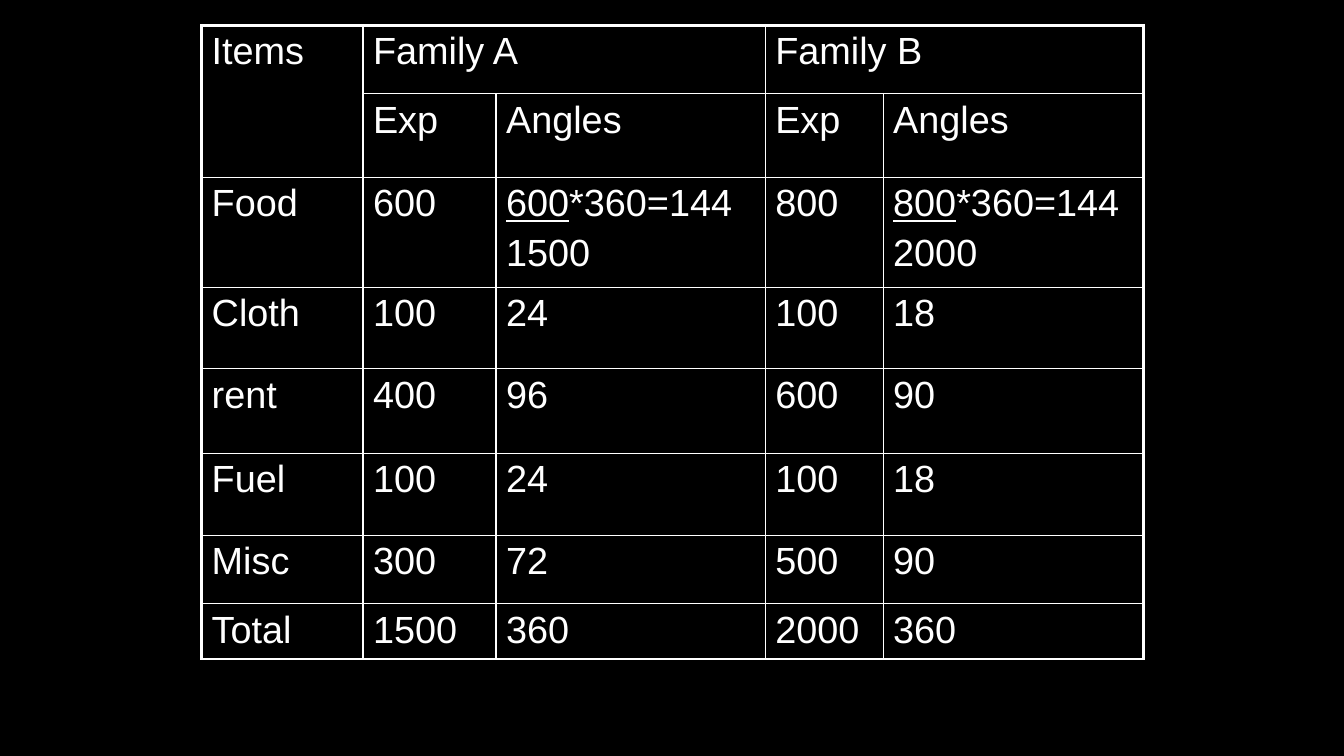
from dataclasses import dataclass

from lxml.etree import SubElement
from pptx import Presentation
from pptx.dml.color import RGBColor
from pptx.oxml import parse_xml
from pptx.oxml.ns import nsdecls, qn
from pptx.table import Table, _Cell
from pptx.util import Inches, Pt

WHITE = "FFFFFF"
BLACK = "000000"
THIN = 1
THICK = 2.25


@dataclass(frozen=True)
class Run:
    text: str
    under: bool = False


@dataclass(frozen=True)
class Entry:
    """Cell content at a grid place, one tuple of runs per paragraph."""
    row: int
    col: int
    paras: tuple[tuple[Run, ...], ...]
    high: int = 1
    wide: int = 1


WIDTHS = (1.6, 1.32, 2.67, 1.17, 2.58)
HEIGHTS = (0.68, 0.83, 1.09, 0.81, 0.84, 0.81, 0.68, 0.55)
BODY = (
    ("Food", "600", "600/1500", "800", "800/2000"),
    ("Cloth", "100", "24", "100", "18"),
    ("rent", "400", "96", "600", "90"),
    ("Fuel", "100", "24", "100", "18"),
    ("Misc", "300", "72", "500", "90"),
    ("Total", "1500", "360", "2000", "360"),
)


def color(code: str) -> RGBColor:
    return RGBColor.from_string(code)


def split(text: str) -> tuple[tuple[Run, ...], ...]:
    """Turn "part/whole" into a stacked fraction; keep other text plain."""
    part, slash, whole = text.partition("/")
    if not slash:
        return ((Run(text),),)
    return ((Run(part, True), Run("*360=144")), (Run(whole),))


def entries() -> list[Entry]:
    heads = [
        Entry(0, 0, split("Items"), high=2),
        Entry(0, 1, split("Family A"), wide=2),
        Entry(0, 3, split("Family B"), wide=2),
    ]
    heads += [Entry(1, col, split(("Angles", "Exp")[col % 2])) for col in range(1, 5)]
    body = [
        Entry(row, col, split(text))
        for row, line in enumerate(BODY, 2)
        for col, text in enumerate(line)
    ]
    return heads + body


def write(cell: _Cell, paras: tuple[tuple[Run, ...], ...]) -> None:
    frame = cell.text_frame
    for index, runs in enumerate(paras):
        para = frame.add_paragraph() if index else frame.paragraphs[0]
        space = SubElement(para._p.get_or_add_pPr(), qn("a:spcBef"))
        SubElement(space, qn("a:spcPct"), val="20000")
        for item in runs:
            run = para.add_run()
            run.text = item.text
            font = run.font
            font.name = "Arial"
            font.size = Pt(27)
            font.color.rgb = color(WHITE)
            font.underline = item.under


def border(cell: _Cell, item: Entry) -> None:
    """Draw thick lines on the table's rim and thin ones inside."""
    rim = {
        "lnL": item.col == 0,
        "lnR": item.col + item.wide == len(WIDTHS),
        "lnT": item.row == 0,
        "lnB": item.row + item.high == len(HEIGHTS),
    }
    props = cell._tc.get_or_add_tcPr()
    for index, (tag, outer) in enumerate(rim.items()):
        width = Pt(THICK if outer else THIN)
        props.insert(index, parse_xml(
            f'<a:{tag} {nsdecls("a")} w="{width}"><a:solidFill>'
            f'<a:srgbClr val="{WHITE}"/></a:solidFill></a:{tag}>'
        ))


def fill(table: Table) -> None:
    table.first_row = table.horz_banding = False
    for column, width in zip(table.columns, WIDTHS):
        column.width = Inches(width)
    for row, height in zip(table.rows, HEIGHTS):
        row.height = Inches(height)
    for cell in table.iter_cells():
        cell.fill.background()
    for item in entries():
        cell = table.cell(item.row, item.col)
        if item.high * item.wide > 1:
            cell.merge(table.cell(item.row + item.high - 1, item.col + item.wide - 1))
        cell.margin_left = cell.margin_right = Inches(0.1)
        cell.margin_top = cell.margin_bottom = Inches(0.05)
        write(cell, item.paras)
        border(cell, item)


def main() -> None:
    deck = Presentation()
    deck.slide_width = Inches(13.33)
    deck.slide_height = Inches(7.5)
    slide = deck.slides.add_slide(deck.slide_layouts[6])
    back = slide.background.fill
    back.solid()
    back.fore_color.rgb = color(BLACK)
    frame = slide.shapes.add_table(
        len(HEIGHTS), len(WIDTHS), Inches(2), Inches(0.25),
        Inches(sum(WIDTHS)), Inches(sum(HEIGHTS)),
    )
    fill(frame.table)
    deck.save("out.pptx")


if __name__ == "__main__":
    main()
